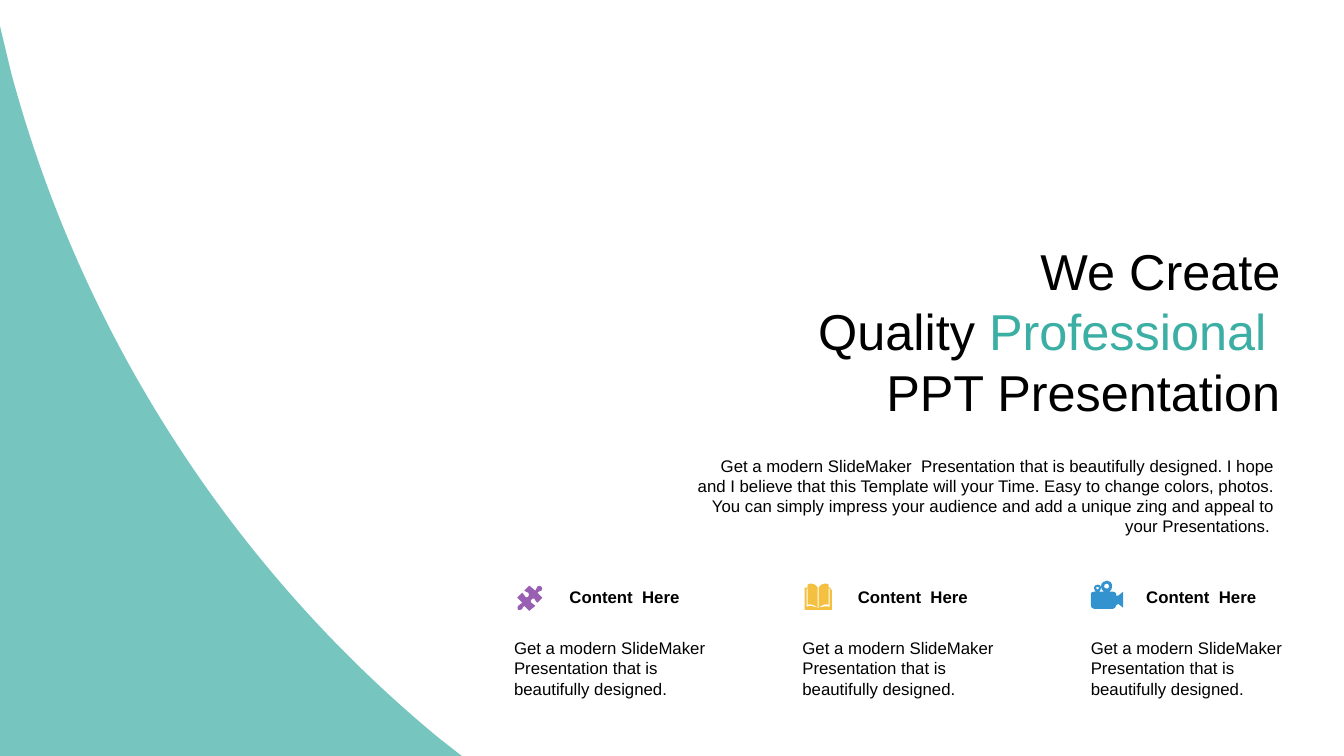
from lxml import etree
from pptx import Presentation
from pptx.dml.color import RGBColor
from pptx.enum.shapes import MSO_SHAPE as SHAPE
from pptx.enum.text import MSO_ANCHOR as ANCHOR, MSO_AUTO_SIZE as AUTO, PP_ALIGN as ALIGN
from pptx.oxml.ns import qn
from pptx.util import Inches, Pt

TEAL, BLACK, WHITE = "3CAFA4", "000000", "FFFFFF"
PITCH = "Get a modern SlideMaker  Presentation that is beautifully designed."
DETAIL = (" I hope and I believe that this Template will your Time. Easy to change colors, photos. "
          "You can simply impress your audience and add a unique zing and appeal to "
          "your Presentations. ")

SWOOSH = "M 0 26 L 11 72 C 80 329 228 561 435 732 L 458 750 L 0 750 Z"
PUZZLE = """M 37 16 C 38 17 38 18 37 20 C 36 21 34 20 33 22 L 38 27 L 33 32
C 31 31 32 30 30 28 C 29 27 28 28 27 29 C 26 29 26 31 27 32 C 29 34 29 33 31 35
L 25 40 L 20 35 C 18 36 19 37 18 38 C 17 40 15 39 14 39 C 13 38 13 36 14 35
C 15 33 17 34 18 32 L 13 27 L 18 22 C 20 23 19 25 21 26 C 22 27 23 27 24 26
C 25 25 25 23 24 22 C 23 21 22 22 20 20 L 25 15 L 31 20 C 33 18 31 18 33 16
C 34 15 36 15 37 16 Z"""
BOOK = """M 25 37 C 25 37 26 37 26 37 L 26 37 C 30 36 33 35 37 36 L 37 18 L 36 18
C 36 23 36 29 36 34 C 33 33 29 34 26 37 L 26 18 L 26 17 L 26 17
C 28 14 30 13 32 13 C 33 13 35 13 36 14 C 36 15 36 16 36 17 L 38 17 L 38 19
L 39 19 L 39 39 L 12 39 L 12 19 L 12 19 L 12 17 L 15 17 C 15 16 15 15 15 14
C 16 13 18 13 19 13 C 21 13 23 14 25 17 L 25 17 L 25 18 L 25 37
C 22 34 18 33 15 34 L 15 18 L 14 18 L 14 36 C 18 34 21 36 25 37 Z"""
CAMERA = """M 17 16 C 16 16 15 17 15 17 C 15 18 16 19 17 19 C 17 19 18 18 18 17
C 18 17 17 16 17 16 Z
M 26 13 C 24 13 23 14 23 16 C 23 17 24 18 26 18 C 27 18 28 17 28 16
C 28 14 27 13 26 13 Z
M 26 10 C 29 10 31 12 31 16 C 31 18 30 20 28 21 L 32 21 C 33 21 35 22 35 23
L 35 25 L 36 25 C 37 25 37 25 37 25 L 42 21 L 42 37 L 37 33 C 37 33 37 34 36 34
L 35 34 L 35 35 C 35 36 33 38 32 38 L 13 38 C 11 38 10 36 10 35 L 10 23
C 10 22 11 21 13 21 L 15 21 C 14 20 13 19 13 17 C 13 15 15 14 17 14
C 19 14 20 15 20 17 C 20 19 19 20 18 21 L 23 21 C 21 20 20 18 20 16
C 20 12 23 10 26 10 Z"""
FEATURES = [(PUZZLE, "995FB2"), (BOOK, "F3C040"), (CAMERA, "3293CF")]


def rgb(color):
    """Turn a hex string into a colour."""
    return RGBColor.from_string(color)


def paint(sp, color):
    """Give a shape a plain fill without line or shadow."""
    sp.shadow.inherit = False
    sp.fill.solid()
    sp.fill.fore_color.rgb = rgb(color)
    sp.line.fill.background()


def read_commands(outline, left, top):
    """Turn outline text in hundredths of an inch into commands with points."""
    tokens = iter(outline.split())
    commands = []
    for letter in tokens:
        count = {"M": 1, "L": 1, "C": 3, "Z": 0}[letter]
        points = [(Inches(left + float(next(tokens)) / 100), Inches(top + float(next(tokens)) / 100))
                  for _ in range(count)]
        commands.append((letter, points))
    return commands


def bend(sp, commands):
    """Merge the three segments of each curve command into one Bezier."""
    nodes = iter(list(sp._element.find(".//" + qn("a:path"))))
    for letter, points in commands:
        first, *rest = [next(nodes) for _ in points or [None]]
        if letter == "C":
            first.tag = qn("a:cubicBezTo")
            for node in rest:
                first.append(node[0])
                node.getparent().remove(node)


def add_outline(slide, left, top, outline, color):
    """Draw a filled outline measured from a corner."""
    commands = read_commands(outline, left, top)
    builder = slide.shapes.build_freeform(*commands[0][1][0], scale=1.0)
    for letter, points in commands[1:]:
        if letter == "M":
            builder.move_to(*points[0])
        else:
            builder.add_line_segments(points, close=letter == "Z")
    sp = builder.convert_to_shape()
    bend(sp, commands)
    paint(sp, color)
    return sp


def add_text(slide, box, lines, size=12, bold=False, align=ALIGN.LEFT):
    """Add a text box whose lines are lists of text and colour runs."""
    s = slide.shapes.add_textbox(*map(Inches, box))
    tf = s.text_frame
    tf.word_wrap = True
    tf.auto_size = AUTO.SHAPE_TO_FIT_TEXT
    for i, line in enumerate(lines):
        p = tf.add_paragraph() if i else tf.paragraphs[0]
        p.alignment = align
        for text, color in line:
            r = p.add_run()
            r.text = text
            r.font.name = "Arial"
            r.font.size = Pt(size)
            r.font.bold = bold
            r.font.color.rgb = rgb(color)
    return tf


def add_swoosh(slide, left, top):
    """Draw the translucent curved area at the left edge."""
    sp = add_outline(slide, left, top, SWOOSH, TEAL)
    color = sp._element.spPr.find(qn("a:solidFill"))[0]
    etree.SubElement(color, qn("a:alpha")).set("val", "70000")


def add_headline(slide, left, top, width):
    """Place the title and the introduction below it."""
    tf = add_text(slide, (left, top, width, 1.82), [
        [("We Create", BLACK)],
        [("Quality ", BLACK), ("Professional ", TEAL)],
        [("PPT Presentation", BLACK)],
    ], size=36, align=ALIGN.RIGHT)
    tf.vertical_anchor = ANCHOR.MIDDLE
    tf.margin_left = tf.margin_right = Inches(0.04)
    tf.margin_top = tf.margin_bottom = 0
    add_text(slide, (left, top + 2.1, width, 0.91), [[(PITCH + DETAIL, BLACK)]], align=ALIGN.RIGHT)


def add_feature(slide, left, top, icon, color):
    """Place one icon with its heading and description."""
    disc = slide.shapes.add_shape(SHAPE.OVAL, *map(Inches, (left, top, 0.51, 0.51)))
    paint(disc, WHITE)
    add_outline(slide, left, top, icon, color)
    add_text(slide, (left + 0.55, top + 0.11, 1.46, 0.3), [[("Content  Here", BLACK)]], bold=True)
    add_text(slide, (left, top + 0.62, 2.21, 0.71), [[(PITCH, BLACK)]])


def main():
    """Build and save the slide."""
    prs = Presentation()
    prs.slide_width, prs.slide_height = Inches(13.33), Inches(7.5)
    slide = prs.slides.add_slide(prs.slide_layouts[6])
    add_swoosh(slide, 0, 0)
    add_headline(slide, 6.82, 2.37, 5.92)
    for i, (icon, color) in enumerate(FEATURES):
        add_feature(slide, 5 + i * 2.86, 5.66, icon, color)
    prs.save("out.pptx")


if __name__ == "__main__":
    main()
